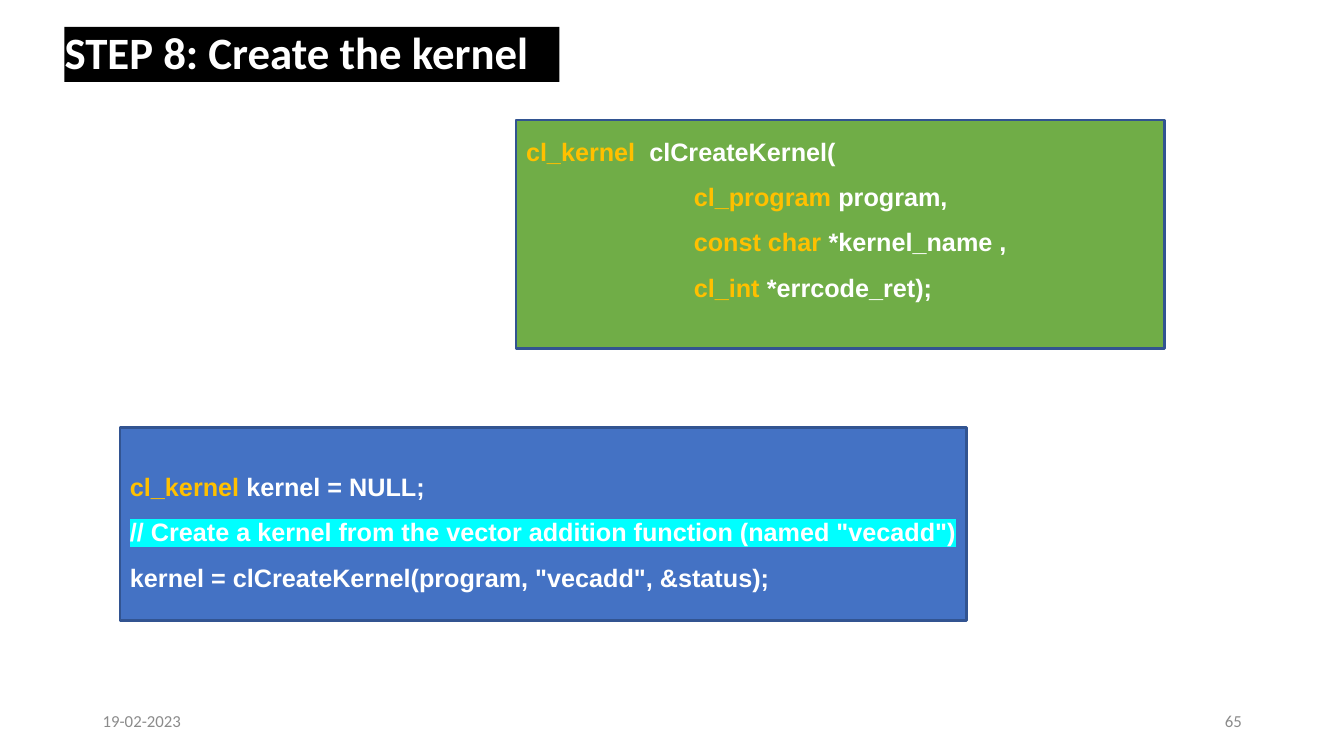
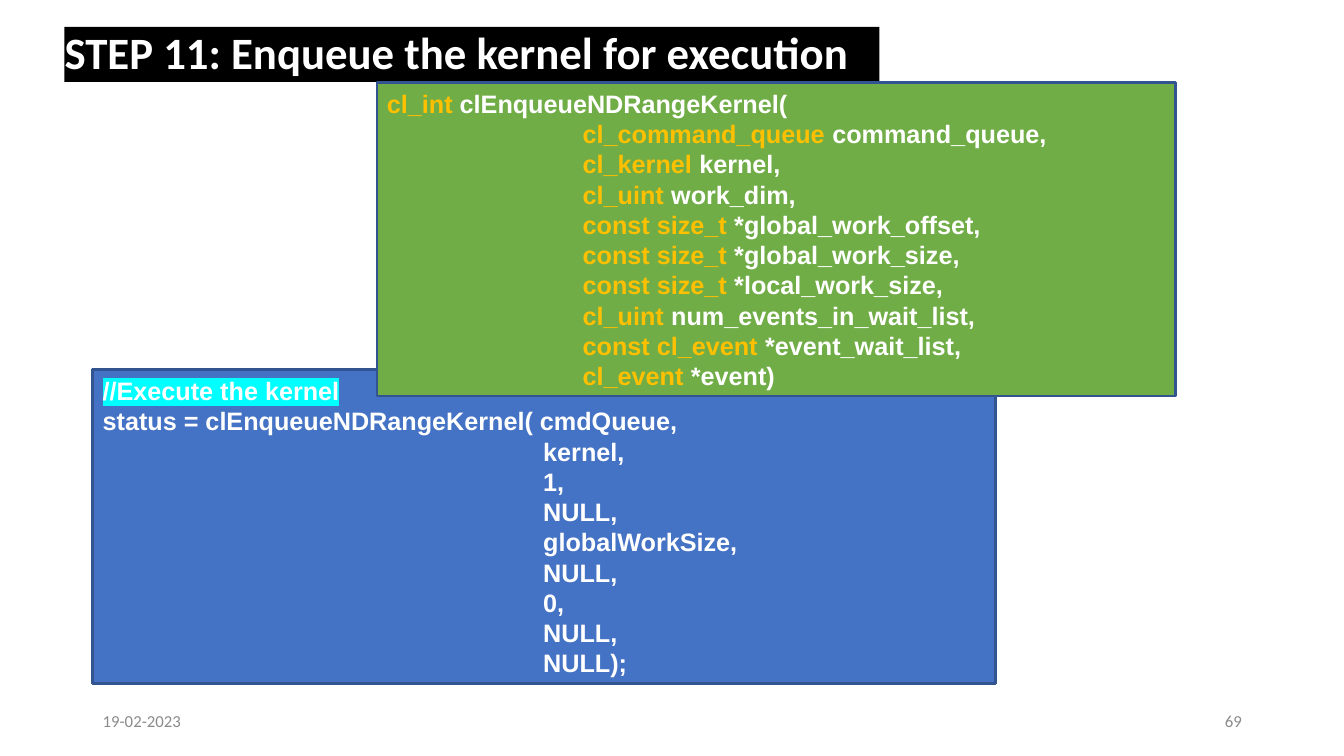
from dataclasses import dataclass

from lxml.etree import SubElement
from pptx import Presentation
from pptx.dml.color import RGBColor as RGB
from pptx.enum.shapes import MSO_SHAPE as Shape
from pptx.enum.text import MSO_ANCHOR as Anchor, PP_ALIGN as Align
from pptx.oxml.ns import qn
from pptx.util import Inches, Pt

COLORS = {
    "white": "FFFFFF", "black": "000000", "grey": "8B8B8B", "edge": "325491",
    "blue": "4472C4", "green": "70AD47", "type": "FFC000", "mark": "00FFFF",
}
WIDTH, HEIGHT = Inches(13.33), Inches(7.5)
DATE = "19-02-2023"


@dataclass(frozen=True)
class Area:
    """Place and size in percent of the slide."""
    x: float
    y: float
    w: float
    h: float

    def emu(self) -> tuple[int, int, int, int]:
        return (int(WIDTH * self.x / 100), int(HEIGHT * self.y / 100),
                int(WIDTH * self.w / 100), int(HEIGHT * self.h / 100))


@dataclass(frozen=True)
class Line:
    """A line of code: an optional coloured type, then plain code."""
    code: str
    type: str = ""
    marked: bool = False


@dataclass(frozen=True)
class CodeBox:
    area: Area
    fill: str
    lines: list[Line]
    spacing: float = 1.0
    bottom: float = 0.05


@dataclass(frozen=True)
class Step:
    title: str
    band_width: float
    number: int
    boxes: list[CodeBox]


TITLE_AREA = Area(4.05, 1.87, 86.25, 10.93)
DATE_AREA = Area(6.9, 92.67, 22.5, 5.33)
NUMBER_AREA = Area(70.65, 92.67, 22.5, 5.33)


def params(indent: int, pairs: list[tuple[str, str]]) -> list[Line]:
    """Indented parameters of a function declaration."""
    return [Line(name, " " * indent + kind) for kind, name in pairs]


# Content
STEPS = [
    Step("STEP 8: Create the kernel", 36.83, 65, [
        CodeBox(Area(8.93, 56.53, 63, 25.6), "blue", [
            Line("kernel = NULL;", "cl_kernel "),
            Line('// Create a kernel from the vector addition function (named "vecadd")',
                 marked=True),
            Line('kernel = clCreateKernel(program, "vecadd", &status);'),
        ], spacing=1.5),
        CodeBox(Area(38.4, 15.87, 48.23, 30.27), "green", [
            Line("clCreateKernel(", "cl_kernel  "),
            *params(24, [
                ("cl_program ", "program,"),
                ("const char ", "*kernel_name ,"),
                ("cl_int ", "*errcode_ret);"),
            ]),
        ], spacing=1.5, bottom=0.5),
    ]),
    Step("STEP 11: Enqueue the kernel for execution", 60.64, 69, [
        CodeBox(Area(6.9, 48.93, 67.2, 41.47), "blue", [
            Line("//Execute the kernel", marked=True),
            Line("status = clEnqueueNDRangeKernel( cmdQueue,"),
            *[Line(" " * 63 + arg) for arg in (
                "kernel,", "1,", "NULL,", "globalWorkSize,",
                "NULL,", "0,", "NULL,", "NULL);")],
        ]),
        CodeBox(Area(28.05, 10.93, 59.4, 41.47), "green", [
            Line("clEnqueueNDRangeKernel(", "cl_int "),
            *params(28, [
                ("cl_command_queue ", "command_queue,"),
                ("cl_kernel ", "kernel,"),
                ("cl_uint ", "work_dim,"),
                ("const size_t ", "*global_work_offset,"),
                ("const size_t ", "*global_work_size,"),
                ("const size_t ", "*local_work_size,"),
                ("cl_uint ", "num_events_in_wait_list,"),
                ("const cl_event ", "*event_wait_list,"),
                ("cl_event ", "*event)"),
            ]),
        ]),
    ]),
]


def add_text(p, text: str, *, size: float, font: str, color: str,
             bold: bool = False, highlight: str = "") -> None:
    r = p.add_run()
    r.text = text
    r.font.size, r.font.name, r.font.bold = Pt(size), font, bold
    r.font.color.rgb = RGB.from_string(COLORS[color])
    if highlight:
        rPr = r.font._element
        mark = SubElement(rPr, qn("a:highlight"))
        SubElement(mark, qn("a:srgbClr"), val=COLORS[highlight])
        rPr.find(qn("a:solidFill")).addnext(mark)


def add_rect(s, area: Area, fill: str, edge: str = ""):
    sp = s.shapes.add_shape(Shape.RECTANGLE, *area.emu())
    sp.shadow.inherit = False
    sp.fill.solid()
    sp.fill.fore_color.rgb = RGB.from_string(COLORS[fill])
    if edge:
        sp.line.color.rgb = RGB.from_string(COLORS[edge])
        sp.line.width = Pt(2)
    else:
        sp.line.fill.background()
    return sp


def add_title(s, step: Step) -> None:
    # The band lies behind the title
    add_rect(s, Area(4.8, 3.57, step.band_width, 7.28), "black")
    sp = s.shapes.title
    s.shapes._spTree.append(sp._element)
    sp.left, sp.top, sp.width, sp.height = TITLE_AREA.emu()
    tf = sp.text_frame
    tf.word_wrap, tf.vertical_anchor = True, Anchor.MIDDLE
    p = tf.paragraphs[0]
    p.alignment, p.line_spacing = Align.LEFT, 0.9
    add_text(p, step.title, size=32, font="Calibri", color="white", bold=True)


def add_footer(s, area: Area, text: str, align: Align) -> None:
    tf = s.shapes.add_textbox(*area.emu()).text_frame
    tf.word_wrap, tf.vertical_anchor = True, Anchor.MIDDLE
    p = tf.paragraphs[0]
    p.alignment = align
    add_text(p, text, size=12, font="Calibri", color="grey")


def add_code(s, box: CodeBox) -> None:
    tf = add_rect(s, box.area, box.fill, edge="edge").text_frame
    tf.word_wrap, tf.vertical_anchor = True, Anchor.MIDDLE
    tf.margin_right, tf.margin_bottom = 0, Inches(box.bottom)
    for i, line in enumerate(box.lines):
        p = tf.add_paragraph() if i else tf.paragraphs[0]
        p.alignment, p.line_spacing = Align.LEFT, box.spacing
        if line.type:
            add_text(p, line.type, size=18, font="Arial", color="type", bold=True)
        add_text(p, line.code, size=18, font="Arial", color="white", bold=True,
                 highlight="mark" if line.marked else "")


def main() -> None:
    prs = Presentation()
    prs.slide_width, prs.slide_height = WIDTH, HEIGHT
    title_only = prs.slide_layouts[5]
    for step in STEPS:
        s = prs.slides.add_slide(title_only)
        add_footer(s, DATE_AREA, DATE, Align.LEFT)
        add_footer(s, NUMBER_AREA, str(step.number), Align.RIGHT)
        add_title(s, step)
        for box in step.boxes:
            add_code(s, box)
    prs.save("out.pptx")


if __name__ == "__main__":
    main()
